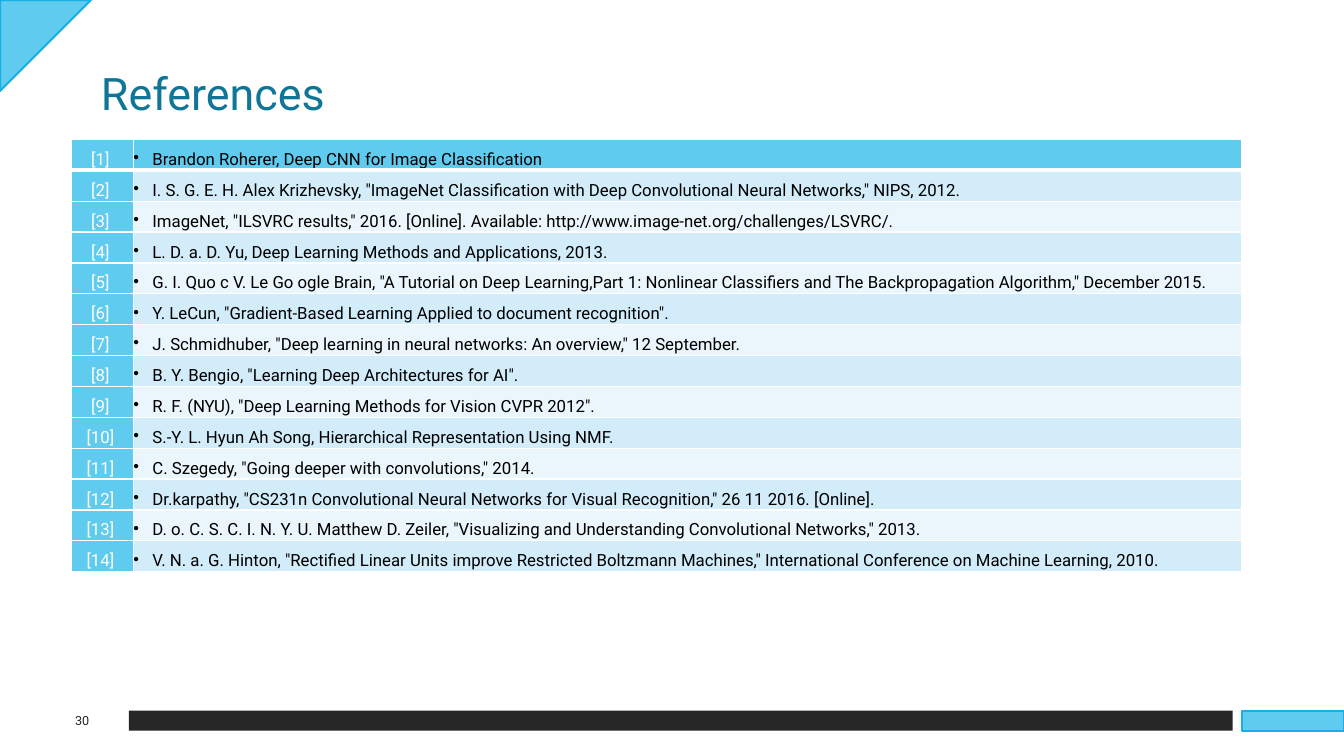
import lxml.etree
import pptx
import pptx.dml.color
import pptx.enum.shapes
import pptx.enum.text
import pptx.oxml.ns
import pptx.util

Pt = pptx.util.Pt
SHAPE = pptx.enum.shapes.MSO_SHAPE
ALIGN = pptx.enum.text.PP_ALIGN
ANCHOR = pptx.enum.text.MSO_ANCHOR

THEME = {
    "font": "Roboto",
    "sky": "5FCBEF", "edge": "17B0E4", "dark": "262626", "teal": "0F7698",
    "white": "FFFFFF", "black": "000000", "bands": ("EAF6FC", "D2ECF9"),
    "title": 32, "body": 12, "small": 9,
}

WORKS = [
    'Brandon Roherer, Deep CNN for Image Classification',
    'I. S. G. E. H. Alex Krizhevsky, "ImageNet Classification with Deep Convolutional Neural Networks," NIPS, 2012.',
    'ImageNet, "ILSVRC results," 2016. [Online]. Available: http://www.image-net.org/challenges/LSVRC/.',
    'L. D. a. D. Yu, Deep Learning Methods and Applications, 2013.',
    'G. I. Quo c V. Le Go ogle Brain, "A Tutorial on Deep Learning,Part 1: Nonlinear Classifiers and The '
    'Backpropagation Algorithm," December 2015.',
    'Y. LeCun, "Gradient-Based Learning Applied to document recognition".',
    'J. Schmidhuber, "Deep learning in neural networks: An overview," 12 September.',
    'B. Y. Bengio, "Learning Deep Architectures for AI".',
    'R. F. (NYU), "Deep Learning Methods for Vision CVPR 2012".',
    'S.-Y. L. Hyun Ah Song, Hierarchical Representation Using NMF.',
    'C. Szegedy, "Going deeper with convolutions," 2014.',
    'Dr.karpathy, "CS231n Convolutional Neural Networks for Visual Recognition," 26 11 2016. [Online].',
    'D. o. C. S. C. I. N. Y. U. Matthew D. Zeiler, "Visualizing and Understanding Convolutional Networks," 2013.',
    'V. N. a. G. Hinton, "Rectified Linear Units improve Restricted Boltzmann Machines," International Conference '
    'on Machine Learning, 2010.',
]


def rgb(name):
    """Return the colour for a theme name or a hex value."""
    return pptx.dml.color.RGBColor.from_string(THEME.get(name, name))


def apply(item, form):
    """Set each attribute of the item from a dict of format values."""
    for key, value in form.items():
        setattr(item, key, value)


def write(para, text, size, color):
    """Put one styled run of text in a paragraph."""
    run = para.add_run()
    run.text = text
    apply(run.font, {"name": THEME["font"], "size": Pt(THEME[size]), "bold": False})
    run.font.color.rgb = rgb(color)


def block(slide, kind, box, fill, edge=None):
    """Draw a filled shape in the box, with an edge if one is named."""
    shape = slide.shapes.add_shape(kind, *map(Pt, box))
    shape.shadow.inherit = False
    shape.fill.solid()
    shape.fill.fore_color.rgb = rgb(fill)
    if edge:
        shape.line.color.rgb = rgb(edge)
        shape.line.width = Pt(1.5)
    else:
        shape.line.fill.background()
    return shape


def label(slide, box, text, size, color, frame, align):
    """Place one line of text in the box."""
    body = slide.shapes.add_textbox(*map(Pt, box)).text_frame
    apply(body, {"word_wrap": True, **frame})
    para = body.paragraphs[0]
    para.alignment = align
    write(para, text, size, color)


def rule(cell, widths):
    """Give a cell white borders of the widths for each side."""
    props = cell._tc.get_or_add_tcPr()
    for spot, (side, width) in enumerate(widths.items()):
        line = lxml.etree.Element(pptx.oxml.ns.qn(f"a:ln{side}"), w=str(Pt(width)))
        fill = lxml.etree.SubElement(line, pptx.oxml.ns.qn("a:solidFill"))
        lxml.etree.SubElement(fill, pptx.oxml.ns.qn("a:srgbClr"), val=THEME["white"])
        props.insert(spot, line)


def entry(cell, text, color, fill, indent, bullet, widths):
    """Fill one table cell with a hanging paragraph."""
    apply(cell, dict.fromkeys(("margin_left", "margin_right", "margin_top", "margin_bottom"), 0))
    cell.fill.solid()
    cell.fill.fore_color.rgb = rgb(fill)
    rule(cell, widths)
    para = cell.text_frame.paragraphs[0]
    apply(para, {"line_spacing": 1.53, "space_after": Pt(10.9),
                 "alignment": ALIGN.LEFT if bullet else ALIGN.CENTER})
    props = para._p.get_or_add_pPr()
    props.set("marL", str(Pt(indent)))
    props.set("indent", str(-Pt(indent)))
    if bullet:
        lxml.etree.SubElement(props, pptx.oxml.ns.qn("a:buChar"), char="•")
    write(para, text, "body", color)


def listing(slide, box, works):
    """Set the numbered works in a banded table that fills the box."""
    left, top, width, height = box
    table = slide.shapes.add_table(len(works), 2, *map(Pt, box)).table
    apply(table, {"first_row": False, "horz_banding": False})
    first = 44
    table.columns[0].width = Pt(first)
    table.columns[1].width = Pt(width - first)
    for row, work in enumerate(works):
        table.rows[row].height = Pt(height / len(works))
        widths = {"L": 1, "R": 1, "T": 3 if row == 1 else 1, "B": 3 if row == 0 else 1}
        band = THEME["bands"][row % 2] if row else "sky"
        entry(table.cell(row, 0), f"[{row + 1}] ", "white", "sky", 0.72, False, widths)
        entry(table.cell(row, 1), work, "black", band, 13.68, True, widths)


def footer(slide, box, number):
    """Draw the page number, the dark bar and the end tag across the box."""
    left, top, width, height = box
    bar, tag = left + 92, left + 887
    block(slide, SHAPE.RECTANGLE, (bar, top, 788.4, height), "dark")
    label(slide, (left + 32.4, top - 7.2, 52.6, height * 2), number, "small", "dark",
          {"vertical_anchor": ANCHOR.MIDDLE}, ALIGN.CENTER)
    block(slide, SHAPE.RECTANGLE, (tag, top, width - 887, height), "sky", "edge")


def page(deck, box):
    """Build the references slide in the box."""
    left, top, width, height = box
    slide = deck.slides.add_slide(deck.slide_layouts[6])
    corner = block(slide, SHAPE.RIGHT_TRIANGLE, (left, top, 65, 65), "sky", "edge")
    corner.rotation = 90
    footer(slide, (left, top + height - 32.4, width, 14.4), "30")
    label(slide, (left + 65, top + 43.2, 287, 46), "References", "title", "teal", {}, ALIGN.LEFT)
    listing(slide, (left + 51.2, top + 99.6, 836, 308), WORKS)


def main():
    """Make the deck and save it."""
    deck = pptx.Presentation()
    apply(deck, {"slide_width": Pt(960), "slide_height": Pt(540)})
    page(deck, (0, 0, 960, 540))
    deck.save("out.pptx")


if __name__ == "__main__":
    main()
